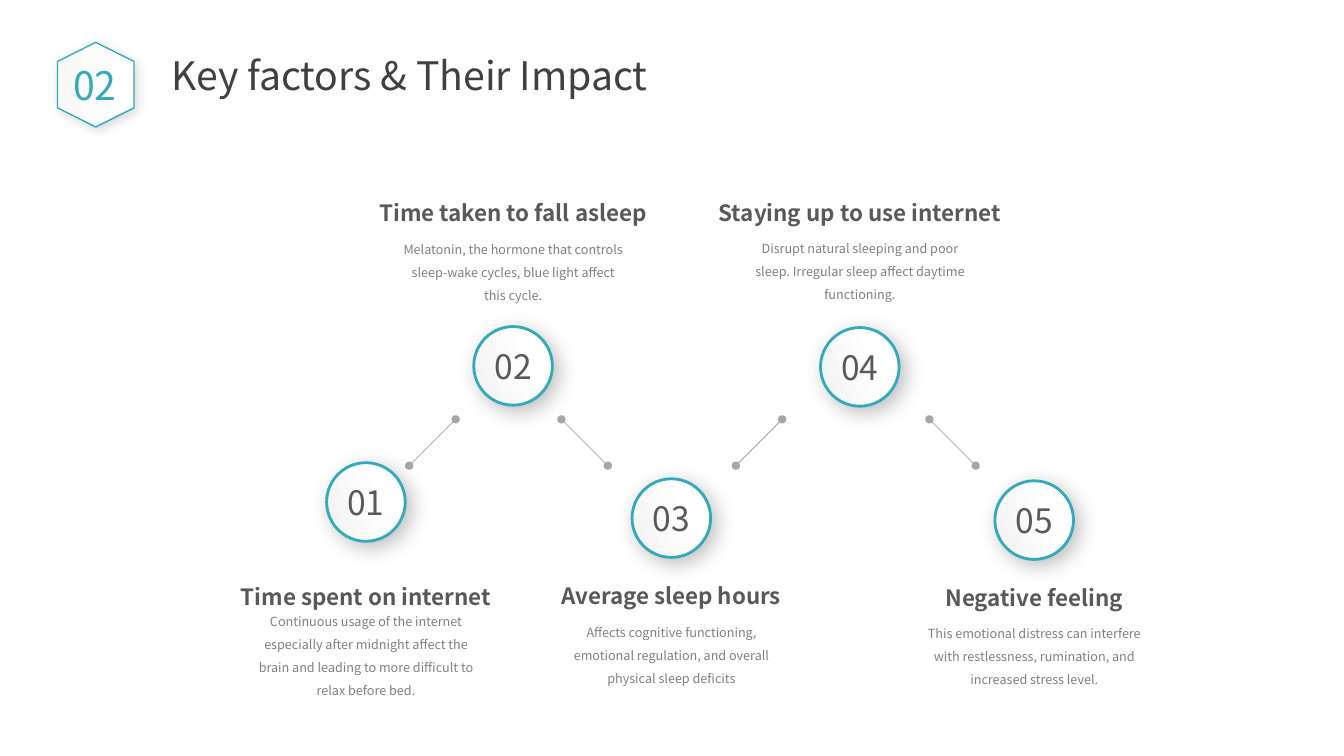
from dataclasses import dataclass
from typing import Any, NamedTuple

from lxml.etree import SubElement
from pptx import Presentation
from pptx.dml.color import RGBColor
from pptx.enum.shapes import MSO_CONNECTOR, MSO_SHAPE
from pptx.enum.text import MSO_ANCHOR, MSO_AUTO_SIZE, PP_ALIGN
from pptx.oxml.ns import qn
from pptx.util import Emu, Pt

COLS, ROWS, CELL = 160, 90, 76200
DISC, BODY, LINE = 9.36, 26.52, 5.52
HIGH, LOW = 49.92, 55.44


@dataclass(frozen=True)
class Theme:
    font: str = "Noto Sans CJK SC"
    teal: str = "33AAB9"
    title: str = "404040"
    dark: str = "595959"
    soft: str = "808080"
    link: str = "A6A6A6"
    white: str = "FFFFFF"
    title_size: float = 28
    mark_size: float = 24
    head_size: float = 16
    body_size: float = 9


class Box(NamedTuple):
    col: float
    row: float
    wide: float
    high: float


class Shade(NamedTuple):
    alpha: int
    blur: int
    dist: int


class Step(NamedTuple):
    mark: str
    col: float
    row: float
    head: str
    head_row: float
    head_wide: float
    text: str
    text_row: float
    text_high: float = 7.8


class Link(NamedTuple):
    col: float
    rise: bool


THEME = Theme()
FLAT = {"margin_left": 0, "margin_right": 0, "margin_top": 0,
        "margin_bottom": 0, "vertical_anchor": MSO_ANCHOR.MIDDLE}
GROW = {"auto_size": MSO_AUTO_SIZE.SHAPE_TO_FIT_TEXT}
TOP = {**GROW, "vertical_anchor": MSO_ANCHOR.TOP}
MID = {"alignment": PP_ALIGN.CENTER}

STEPS = [
    Step("01", 43.56, 59.76, "Time spent on internet", 68.88, 30.96,
         "Continuous usage of the internet especially after midnight affect the "
         "brain and leading to more difficult to relax before bed.", 72.36, 10.56),
    Step("02", 61.08, 43.56, "Time taken to fall asleep", 23.16, 33.24,
         "Melatonin, the hormone that controls sleep-wake cycles, "
         "blue light affect this cycle.", 28.08),
    Step("03", 79.92, 61.68, "Average sleep hours", 68.76, 27.48,
         "Affects cognitive functioning, emotional regulation, and overall "
         "physical sleep deficits", 73.68),
    Step("04", 102.36, 43.68, "Staying up to use internet", 23.16, 35.16,
         "Disrupt natural sleeping and poor sleep. Irregular sleep affect "
         "daytime functioning.", 27.96),
    Step("05", 123.12, 61.92, "Negative feeling", 69, 22.44,
         "This emotional distress can interfere with restlessness, rumination, "
         "and increased stress level.", 73.8),
]
LINKS = [Link(48.72, True), Link(66.84, False), Link(87.6, True), Link(110.64, False)]


def span(count: float) -> Emu:
    return Emu(round(count * CELL))


def apply(item: Any, form: dict[str, Any]) -> None:
    for name, value in form.items():
        setattr(item, name, value)


def place(shape: Any, box: Box) -> None:
    apply(shape, dict(zip(("left", "top", "width", "height"), map(span, box))))


def write(shape: Any, text: str, size: float, tint: str, frame: dict[str, Any],
          para: dict[str, Any], bold: bool = False) -> None:
    apply(shape.text_frame, frame)
    line = shape.text_frame.paragraphs[0]
    line.text = text
    apply(line, para)
    apply(line.font, {"name": THEME.font, "size": Pt(size), "bold": bold})
    line.font.color.rgb = RGBColor.from_string(tint)


def label(slide: Any, box: Box, *args: Any, **form: Any) -> None:
    write(slide.shapes.add_textbox(*map(span, box)), *args, **form)


def badge(slide: Any, kind: MSO_SHAPE, box: Box, stops: dict[float, str],
          turn: float, width: float, shade: Shade) -> Any:
    shape = slide.shapes.add_shape(kind, *map(span, box))
    shape.fill.gradient()
    shape.fill.gradient_angle = 360 - turn
    for stop, (place_at, tint) in zip(shape.fill.gradient_stops, stops.items()):
        stop.position = place_at
        stop.color.rgb = RGBColor.from_string(tint)
    shape.line.color.rgb = RGBColor.from_string(THEME.teal)
    shape.line.width = Pt(width)
    shape.shadow.inherit = False
    glow = SubElement(shape.element.spPr.find(qn("a:effectLst")), qn("a:outerShdw"),
                      blurRad=str(Pt(shade.blur)), dist=str(Pt(shade.dist)),
                      dir="2700000", algn="tl", rotWithShape="0")
    tone = SubElement(glow, qn("a:srgbClr"), val="000000")
    SubElement(tone, qn("a:alpha"), val=str(shade.alpha * 1000))
    return shape


def join(slide: Any, link: Link) -> None:
    start, end = (LOW, HIGH) if link.rise else (HIGH, LOW)
    line = slide.shapes.add_connector(
        MSO_CONNECTOR.STRAIGHT, *map(span, (link.col, start, link.col + LINE, end)))
    line.line.color.rgb = RGBColor.from_string(THEME.link)
    line.line.width = Pt(0.5)
    for tag in ("a:headEnd", "a:tailEnd"):
        SubElement(line.line._get_or_add_ln(), qn(tag), type="oval")
    SubElement(line.element.spPr, qn("a:effectLst"))


def draw(slide: Any, step: Step) -> None:
    disc = badge(slide, MSO_SHAPE.OVAL,
                 Box(step.col - DISC / 2, step.row - DISC / 2, DISC, DISC),
                 {0.3: THEME.white, 1: "F2F2F2"}, 160, 2, Shade(25, 15, 5))
    write(disc, step.mark, THEME.mark_size, THEME.dark,
          {**FLAT, "word_wrap": False}, MID)
    label(slide, Box(step.col - step.head_wide / 2, step.head_row, step.head_wide, 3.6),
          step.head, THEME.head_size, THEME.dark, {**FLAT, **GROW, "word_wrap": False},
          {**MID, "line_spacing": 1.2}, bold=True)
    label(slide, Box(step.col - BODY / 2, step.text_row, BODY, step.text_high),
          step.text, THEME.body_size, THEME.soft, {**FLAT, **GROW, "word_wrap": True},
          {**MID, "line_spacing": 1.5})


def main() -> None:
    deck = Presentation()
    apply(deck, {"slide_width": span(COLS), "slide_height": span(ROWS)})
    slide = deck.slides.add_slide(deck.slide_layouts[5])
    title = slide.shapes.title
    place(title, Box(19.2, 5.52, 62.28, 6.84))
    write(title, "Key factors & Their Impact", THEME.title_size, THEME.title,
          {**TOP, "word_wrap": False}, {"alignment": PP_ALIGN.LEFT})
    hexa = badge(slide, MSO_SHAPE.HEXAGON, Box(6.36, 5.52, 10.08, 9.12),
                 {0: THEME.white, 1: "F9F9F9"}, 90, 1, Shade(15, 8, 3))
    hexa.rotation = 90
    label(slide, Box(5.76, 6.72, 11.04, 6.84), "02", THEME.title_size, THEME.teal,
          {**TOP, "word_wrap": True}, MID)
    for link in LINKS:
        join(slide, link)
    for step in STEPS:
        draw(slide, step)
    deck.save("out.pptx")


if __name__ == "__main__":
    main()
